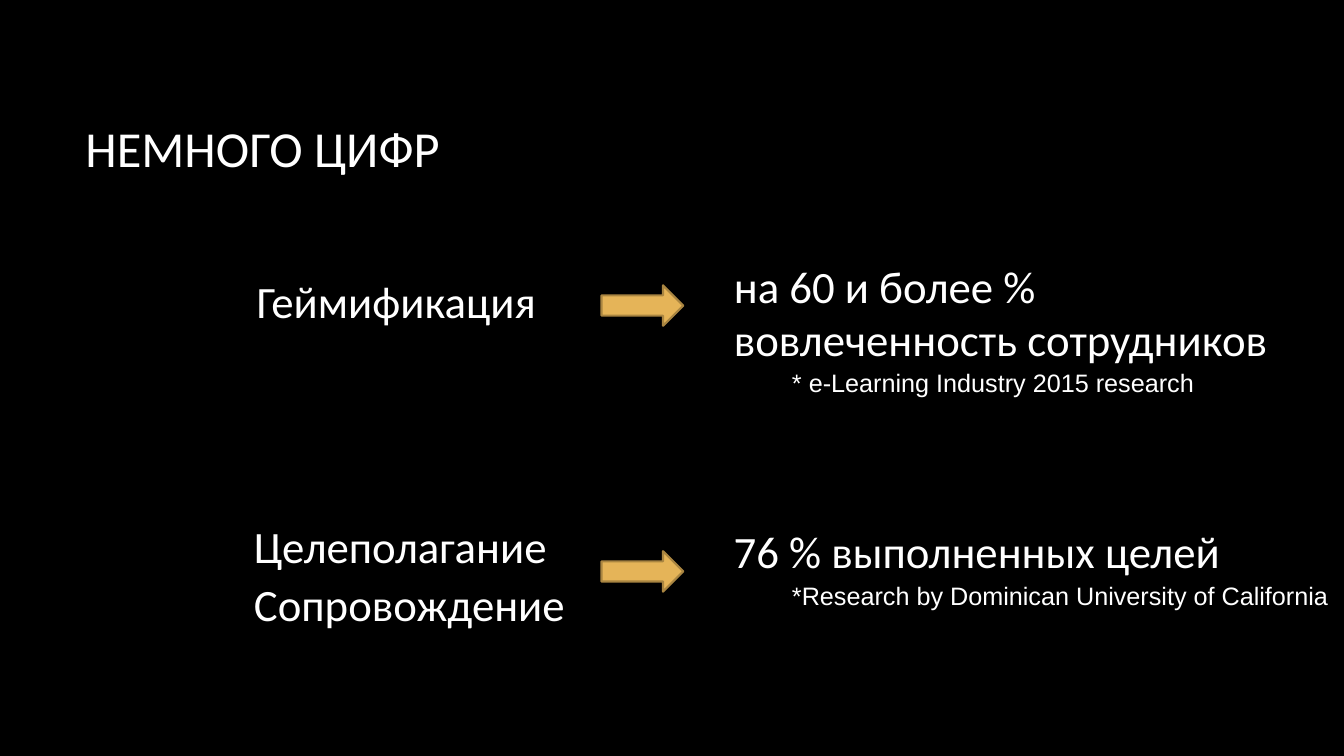
from lxml import etree
from pptx import Presentation
from pptx.dml.color import RGBColor
from pptx.enum.shapes import MSO_SHAPE
from pptx.enum.text import MSO_ANCHOR, MSO_AUTO_SIZE, PP_ALIGN
from pptx.oxml.ns import qn
from pptx.util import Cm, Pt

RIGHT_ARROW = MSO_SHAPE.RIGHT_ARROW
TOP, MIDDLE = MSO_ANCHOR.TOP, MSO_ANCHOR.MIDDLE
NO_FIT, GROW = MSO_AUTO_SIZE.NONE, MSO_AUTO_SIZE.SHAPE_TO_FIT_TEXT
LEFT = PP_ALIGN.LEFT

COLORS = {
    "background": "000000",
    "text": "FFFFFF",
    "arrow": "E5B458",
    "arrow_edge": "A98541",
}

# Shared columns and sizes, in centimetres
RESULT_X, RESULT_W = 18.24, 14.17
NOTE_X, NOTE_H = 19.71, 1.02
ARROW_X, ARROW_W, ARROW_H = 15.16, 2.06, 1.02
LINE_H = 2.92


def color(name):
    return RGBColor.from_string(COLORS[name])


def place(shape, left, top, width, height):
    shape.left, shape.top = Cm(left), Cm(top)
    shape.width, shape.height = Cm(width), Cm(height)


def write(shape, text, size=32, font="Calibri", after=10, anchor=TOP,
          wrap=True, fit=NO_FIT):
    frame = shape.text_frame
    frame.text = text
    frame.word_wrap = wrap
    frame.auto_size = fit
    frame.vertical_anchor = anchor
    paragraph = frame.paragraphs[0]
    properties = paragraph._p.get_or_add_pPr()
    properties.set("marL", "0")
    properties.set("indent", "0")
    etree.SubElement(properties, qn("a:buNone"))
    paragraph.alignment = LEFT
    paragraph.space_before = Pt(0)
    paragraph.space_after = Pt(after)
    letters = paragraph.runs[0].font
    letters.name = font
    letters.size = Pt(size)
    letters.color.rgb = color("text")


def add_label(slide, text, left, top, width, height=LINE_H, **text_format):
    label = slide.shapes.add_textbox(Cm(left), Cm(top), Cm(width), Cm(height))
    write(label, text, **text_format)


def add_note(slide, text, top, width):
    add_label(slide, text, NOTE_X, top, width, NOTE_H, size=18, font="Arial",
              after=0, wrap=False, fit=GROW)


def add_arrow(slide, top):
    arrow = slide.shapes.add_shape(RIGHT_ARROW, Cm(ARROW_X), Cm(top),
                                   Cm(ARROW_W), Cm(ARROW_H))
    arrow.shadow.inherit = False
    arrow.fill.solid()
    arrow.fill.fore_color.rgb = color("arrow")
    arrow.line.color.rgb = color("arrow_edge")
    arrow.line.width = Pt(1.5)


def main():
    deck = Presentation()
    deck.slide_width, deck.slide_height = Cm(33.87), Cm(19.05)
    slide = deck.slides.add_slide(deck.slide_layouts[1])
    slide.background.fill.solid()
    slide.background.fill.fore_color.rgb = color("background")

    # Heading
    heading = slide.shapes.title
    place(heading, 1.9, 1.7, 28.15, 4.04)
    write(heading, "НЕМНОГО ЦИФР", size=36, after=0, anchor=MIDDLE)

    # Gamification and its effect
    engagement = slide.placeholders[1]
    place(engagement, RESULT_X, 6.38, RESULT_W, LINE_H)
    write(engagement, "на 60 и более % вовлеченность сотрудников")
    add_label(slide, "Геймификация", 6.22, 6.78, 9.45)
    add_note(slide, "* e-Learning Industry 2015 research", 9.14, 10.74)

    # Goal setting with support and its effect
    add_label(slide, "Целеполагание", 6.15, 12.95, 9.45)
    add_label(slide, "Сопровождение", 6.15, 14.4, 10.62)
    add_label(slide, "76 % выполненных целей", RESULT_X, 13.06, RESULT_W)
    add_note(slide, "*Research by Dominican University of California",
             14.5, 14.15)

    # Arrows from cause to result
    for top in (7.19, 13.89):
        add_arrow(slide, top)

    deck.save("out.pptx")


if __name__ == "__main__":
    main()
